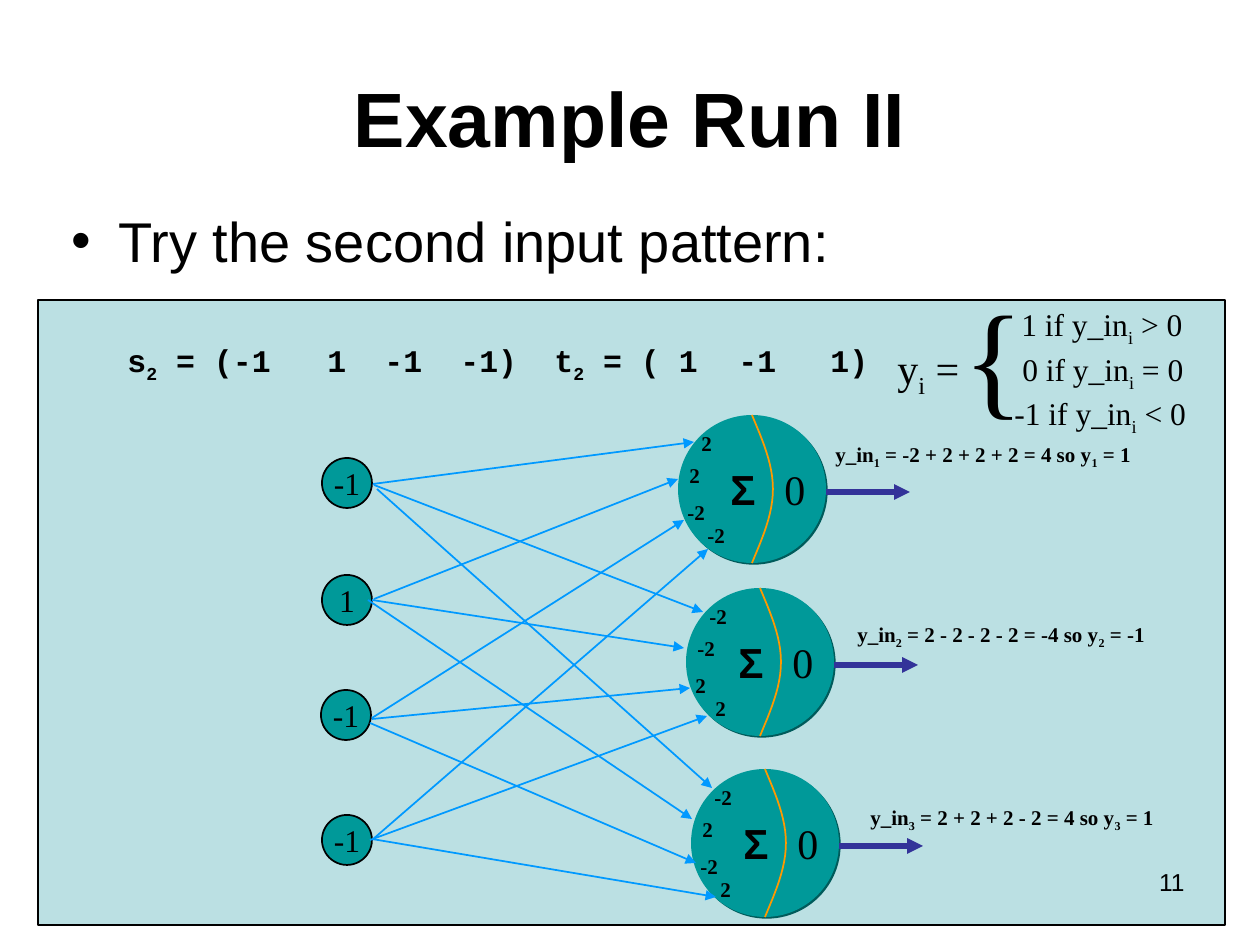
from dataclasses import dataclass

from lxml.etree import SubElement
from pptx import Presentation
from pptx.dml.color import RGBColor as RGB
from pptx.enum.shapes import MSO_CONNECTOR as CONN, MSO_SHAPE as SHAPE
from pptx.enum.text import MSO_ANCHOR as ANCHOR, PP_ALIGN as ALIGN
from pptx.oxml.ns import qn
from pptx.util import Emu, Pt

EMU_PER_PX = 914400 / 126
SANS, SERIF, MONO = "Arial", "Times New Roman", "Courier New"
COLORS = {
    "text": "000000",
    "panel": "BBE0E3",
    "node": "009999",
    "shadow": "005B5B",
    "divider": "FF9900",
    "output": "333399",
    "weight": "0099FF",
}
DIAMETER = 148
WEIGHT_SLOTS = [(11, 9), (-1, 41), (-3, 78), (17, 101)]


@dataclass
class Label:
    """Text whose subscripts stand between ~ marks."""
    text: str
    x: int
    y: int
    w: int
    h: int
    size: int
    font: str = SERIF
    bold: bool = False
    align: ALIGN = ALIGN.LEFT
    wrap: bool = False


@dataclass
class Input:
    value: str
    x: int
    y: int
    links: list  # (x1, y1, x2, y2), one per neuron


@dataclass
class Neuron:
    x: int
    y: int
    weights: list
    result: Label


def px(n: float) -> Emu:
    return Emu(round(n * EMU_PER_PX))


def color(name: str) -> RGB:
    return RGB.from_string(COLORS[name])


def write(tf, label: Label):
    tf.word_wrap = label.wrap
    p = tf.paragraphs[0]
    p.alignment = label.align
    for i, part in enumerate(label.text.split("~")):
        r = p.add_run()
        r.text = part
        r.font.size, r.font.name, r.font.bold = Pt(label.size), label.font, label.bold
        r.font.color.rgb = color("text")
        if i % 2:
            r.font._element.set("baseline", "-25000")
    return p


def add_label(s, label: Label):
    sp = s.shapes.add_textbox(px(label.x), px(label.y), px(label.w), px(label.h))
    return sp.text_frame, write(sp.text_frame, label)


def add_tabs(p, stops: list) -> None:
    tabs = SubElement(p._p.get_or_add_pPr(), qn("a:tabLst"))
    for stop in stops:
        SubElement(tabs, qn("a:tab"), pos=str(px(stop)), algn="l")


def add_bullet(p, indent: int) -> None:
    pPr = p._p.get_or_add_pPr()
    pPr.set("marL", str(px(indent)))
    pPr.set("indent", str(-px(indent)))
    SubElement(pPr, qn("a:buFont"), typeface=SANS)
    SubElement(pPr, qn("a:buChar"), char="•")


def add_filled(s, kind: SHAPE, x: int, y: int, w: int, h: int, fill: str, line: float):
    sp = s.shapes.add_shape(kind, px(x), px(y), px(w), px(h))
    sp.shadow.inherit = False
    sp.fill.solid()
    sp.fill.fore_color.rgb = color(fill)
    if line:
        sp.line.color.rgb, sp.line.width = color("text"), Pt(line)
    else:
        sp.line.fill.background()
    return sp


def add_arrow(s, x1: int, y1: int, x2: int, y2: int, name: str, width: float) -> None:
    c = s.shapes.add_connector(CONN.STRAIGHT, px(x1), px(y1), px(x2), px(y2))
    c.line.color.rgb, c.line.width = color(name), Pt(width)
    SubElement(c.line._get_or_add_ln(), qn("a:tailEnd"), type="triangle")
    SubElement(c._element.spPr, qn("a:effectLst"))


def add_divider(s, x: int, y: int, bulge: int = 21, steps: int = 12) -> None:
    """Curve bowing right, from the top of a neuron to its bottom."""
    half = []
    for i in range(steps + 1):
        t = i / steps
        b1, b2, b3 = 3 * t * (1 - t) ** 2, 3 * t * t * (1 - t), t ** 3
        half.append((bulge * (b1 / 2 + b2 + b3), 25 * b1 + 49 * b2 + 74 * b3))
    curve = half + [(dx, DIAMETER - dy) for dx, dy in half[-2::-1]]
    points = [(px(x + dx), px(y + dy)) for dx, dy in curve]
    fb = s.shapes.build_freeform(*points[0])
    fb.add_line_segments(points[1:], close=False)
    sp = fb.convert_to_shape()
    sp.shadow.inherit = False
    sp.fill.background()
    sp.line.color.rgb, sp.line.width = color("divider"), Pt(1)


def add_input(s, node: Input) -> None:
    sp = add_filled(s, SHAPE.OVAL, node.x, node.y, 50, 50, "node", 1)
    sp.text_frame.vertical_anchor = ANCHOR.MIDDLE
    write(sp.text_frame, Label(node.value, node.x, node.y, 50, 50, 18, align=ALIGN.CENTER))


def add_neuron(s, n: Neuron) -> None:
    sp = add_filled(s, SHAPE.OVAL, n.x, n.y, DIAMETER, DIAMETER, "node", 0)
    effects = sp._element.spPr.find(qn("a:effectLst"))
    shadow = SubElement(effects, qn("a:outerShdw"), dist=str(Pt(1.4)), dir="2700000",
                        algn="ctr", rotWithShape="0")
    SubElement(shadow, qn("a:srgbClr"), val=COLORS["shadow"])
    add_divider(s, n.x + DIAMETER // 2, n.y)
    add_label(s, Label("0", n.x + 94, n.y + 42, 46, 63, 24))
    add_label(s, Label("Σ", n.x + 40, n.y + 42, 49, 63, 24, SANS, True))
    for weight, (dx, dy) in zip(n.weights, WEIGHT_SLOTS):
        width = 43 if weight < 0 else 35
        add_label(s, Label(str(weight), n.x + dx, n.y + dy, width, 38, 12, bold=True))
    right, mid = n.x + DIAMETER, n.y + 77
    add_arrow(s, right, mid, right + 84, mid, "output", 3)
    add_label(s, n.result)


INPUTS = [
    Input("-1", 322, 458, [(373, 484, 694, 442), (374, 485, 703, 612), (377, 489, 712, 788)]),
    Input("1", 322, 575, [(374, 599, 678, 479), (372, 600, 684, 648), (368, 600, 692, 819)]),
    Input("-1", 321, 690, [(372, 718, 684, 520), (372, 719, 690, 688), (370, 723, 696, 863)]),
    Input("-1", 322, 815, [(372, 840, 708, 549), (370, 840, 707, 716), (372, 839, 716, 897)]),
]
NEURONS = [
    Neuron(678, 415, [2, 2, -2, -2],
           Label("y_in~1~ = -2 + 2 + 2 + 2 = 4 so y~1~ = 1", 823, 435, 320, 42, 12, bold=True)),
    Neuron(686, 588, [-2, -2, 2, 2],
           Label("y_in~2~ = 2 - 2 - 2 - 2 = -4 so y~2~ = -1", 845, 615, 312, 42, 12, bold=True)),
    Neuron(691, 769, [-2, 2, -2, 2],
           Label("y_in~3~ = 2 + 2 + 2 - 2 = 4 so y~3~ = 1", 858, 798, 309, 42, 12, bold=True)),
]
ACTIVATION = [
    Label("y~i~ =", 885, 336, 97, 71, 24),
    Label("1 if y_in~i~ > 0", 1009, 299, 186, 55, 18),
    Label("0 if y_in~i~ = 0", 1010, 344, 186, 55, 18),
    Label("-1 if y_in~i~ < 0", 1002, 388, 197, 55, 18),
    Label("{", 951, 271, 86, 164, 72),
]


def main() -> None:
    prs = Presentation()
    prs.slide_width, prs.slide_height = px(1260), px(945)
    s = prs.slides.add_slide(prs.slide_layouts[6])

    # Heading and bullet
    tf, _ = add_label(s, Label("Example Run II", 63, 38, 1134, 158, 44, SANS, True,
                               ALIGN.CENTER, True))
    tf.vertical_anchor = ANCHOR.MIDDLE
    _, p = add_label(s, Label("Try the second input pattern:", 59, 200, 1134, 97, 32, SANS,
                              wrap=True))
    add_bullet(p, 47)

    # Panel with the training pair
    add_filled(s, SHAPE.RECTANGLE, 38, 300, 1187, 625, "panel", 0.75)
    _, p = add_label(s, Label("s~2~ = (-1\t1\t-1\t-1)\tt~2~ = ( 1\t-1\t1)",
                              115, 335, 790, 55, 18, MONO, True, wrap=True))
    add_tabs(p, [200, 257, 333, 427, 611, 703])

    # Network
    for node in INPUTS:
        add_input(s, node)
    for neuron in NEURONS:
        add_neuron(s, neuron)
    for node in INPUTS:
        for link in node.links:
            add_arrow(s, *link, "weight", 1)

    # Activation rule
    for label in ACTIVATION:
        add_label(s, label)

    # Slide number
    add_label(s, Label("11", 903, 861, 294, 66, 14, SANS, align=ALIGN.RIGHT, wrap=True))
    prs.save("out.pptx")


if __name__ == "__main__":
    main()
